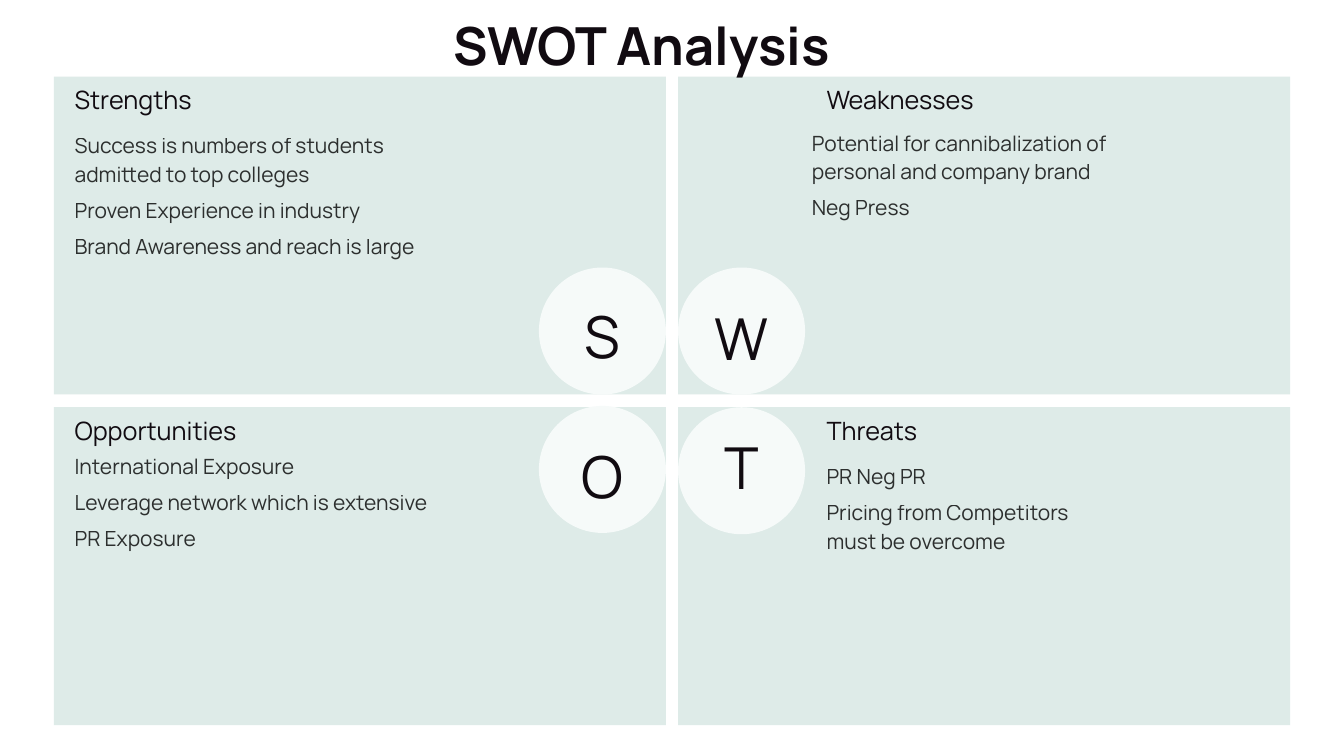
from dataclasses import dataclass

from lxml import etree
from pptx import Presentation
from pptx.dml.color import RGBColor
from pptx.enum import shapes, text
from pptx.oxml import ns
from pptx.util import Pt

FONT = "Manrope"
WHITE = RGBColor(0xFF, 0xFF, 0xFF)
PANEL = RGBColor(0xDE, 0xEB, 0xE8)
CIRCLE = RGBColor(0xF6, 0xFA, 0xF9)
INK = RGBColor(0x11, 0x0B, 0x11)
BLACK = RGBColor(0x00, 0x00, 0x00)

PANEL_LEFT, PANEL_TOP = 57.6, 82.1
PANEL_WIDTH, PANEL_HEIGHT = 655.9, 340.6
GAP_X, GAP_Y = 13, 13.6
DIAMETER = 136.1
LETTER_WIDTH, LETTER_HEIGHT = 149.8, 83.5
HEADING_LEFTS = (79.9, 885.6)
HEADING_OFFSET = 8.2
LIST_HEIGHT = 140


@dataclass(frozen=True)
class Quadrant:
    column: int
    row: int
    letter: str
    heading: str
    items: tuple[str, ...]
    circle_top: float
    letter_top: float
    list_left: float
    list_top: float
    list_width: float = 383


QUADRANTS = (
    Quadrant(0, 0, "S", "Strengths",
             ("Success is numbers of students admitted to top colleges",
              "Proven Experience in industry",
              "Brand Awareness and reach is large"),
             286.6, 313.2, 79.9, 139),
    Quadrant(1, 0, "W", "Weaknesses",
             ("Potential for cannibalization of personal and company brand",
              "Neg Press"),
             286.6, 315.4, 869.8, 136.1),
    Quadrant(0, 1, "O", "Opportunities",
             ("International Exposure",
              "Leverage network which is extensive",
              "PR Exposure"),
             434.9, 463, 79.9, 482.4),
    Quadrant(1, 1, "T", "Threats",
             ("PR Neg PR",
              "Pricing from Competitors must be overcome"),
             436.3, 453.6, 885.6, 493.2, 307.4),
)


def place(shape, left: float, top: float, width: float, height: float) -> None:
    shape.left, shape.top = Pt(left), Pt(top)
    shape.width, shape.height = Pt(width), Pt(height)


def write(shape, *lines: str, size: float, leading: float, color: RGBColor = INK,
          bold: bool = False, align=text.PP_ALIGN.LEFT,
          anchor=text.MSO_ANCHOR.TOP, gap: float = 0, opacity: int = 100) -> None:
    frame = shape.text_frame
    frame.word_wrap = True
    frame.auto_size = text.MSO_AUTO_SIZE.NONE
    frame.vertical_anchor = anchor
    frame.margin_left = frame.margin_right = 0
    frame.margin_top = frame.margin_bottom = 0
    for index, line in enumerate(lines):
        paragraph = frame.add_paragraph() if index else frame.paragraphs[0]
        properties = paragraph._p.get_or_add_pPr()
        properties.set("marL", "0")
        properties.set("indent", "0")
        etree.SubElement(properties, ns.qn("a:buNone"))
        paragraph.alignment = align
        paragraph.line_spacing = Pt(leading)
        paragraph.space_before = Pt(gap if index else 0)
        paragraph.space_after = Pt(0)
        run = paragraph.add_run()
        run.text = line
        run.font.name = FONT
        run.font.size = Pt(size)
        run.font.bold = bold
        run.font.color.rgb = color
        if opacity < 100:
            fill = run._r.rPr.find(".//" + ns.qn("a:srgbClr"))
            etree.SubElement(fill, ns.qn("a:alpha")).set("val", str(opacity * 1000))


def add_filled(slide, kind, color: RGBColor, left: float, top: float,
               width: float, height: float) -> None:
    shape = slide.shapes.add_shape(kind, Pt(left), Pt(top), Pt(width), Pt(height))
    shape.shadow.inherit = False
    shape.fill.solid()
    shape.fill.fore_color.rgb = color
    shape.line.fill.background()


def add_label(slide, left: float, top: float, width: float, height: float,
              label: str, **style) -> None:
    box = slide.shapes.add_textbox(Pt(left), Pt(top), Pt(width), Pt(height))
    write(box, label, **style)


def bring_to_front(shape) -> None:
    shape.element.getparent().append(shape.element)


def draw_quadrant(slide, quadrant: Quadrant, body) -> None:
    left = PANEL_LEFT + quadrant.column * (PANEL_WIDTH + GAP_X)
    top = PANEL_TOP + quadrant.row * (PANEL_HEIGHT + GAP_Y)
    circle_left = left if quadrant.column else left + PANEL_WIDTH - DIAMETER
    add_filled(slide, shapes.MSO_SHAPE.RECTANGLE, PANEL,
               left, top, PANEL_WIDTH, PANEL_HEIGHT)
    add_filled(slide, shapes.MSO_SHAPE.OVAL, CIRCLE,
               circle_left, quadrant.circle_top, DIAMETER, DIAMETER)
    add_label(slide, circle_left - (LETTER_WIDTH - DIAMETER) / 2,
              quadrant.letter_top, LETTER_WIDTH, LETTER_HEIGHT, quadrant.letter,
              size=61.9, leading=83.5, align=text.PP_ALIGN.CENTER,
              anchor=text.MSO_ANCHOR.MIDDLE)
    add_label(slide, HEADING_LEFTS[quadrant.column], top + HEADING_OFFSET,
              522, 32.6, quadrant.heading, size=27, leading=32.6)
    place(body, quadrant.list_left, quadrant.list_top,
          quadrant.list_width, LIST_HEIGHT)
    write(body, *quadrant.items, size=22.5, leading=30.4, color=BLACK,
          gap=8.4, opacity=80)
    bring_to_front(body)


def main() -> None:
    presentation = Presentation()
    presentation.slide_width, presentation.slide_height = Pt(1440), Pt(810)
    slide = presentation.slides.add_slide(
        presentation.slide_layouts.get_by_name("Comparison"))
    slide.background.fill.solid()
    slide.background.fill.fore_color.rgb = WHITE
    title, *bodies = list(slide.placeholders)
    for quadrant, body in zip(QUADRANTS, bodies):
        draw_quadrant(slide, quadrant, body)
    place(title, 0, 17.3, 1375.2, 64.1)
    write(title, "SWOT Analysis", size=56.2, leading=63.9, bold=True,
          align=text.PP_ALIGN.CENTER)
    bring_to_front(title)
    presentation.save("out.pptx")


if __name__ == "__main__":
    main()
